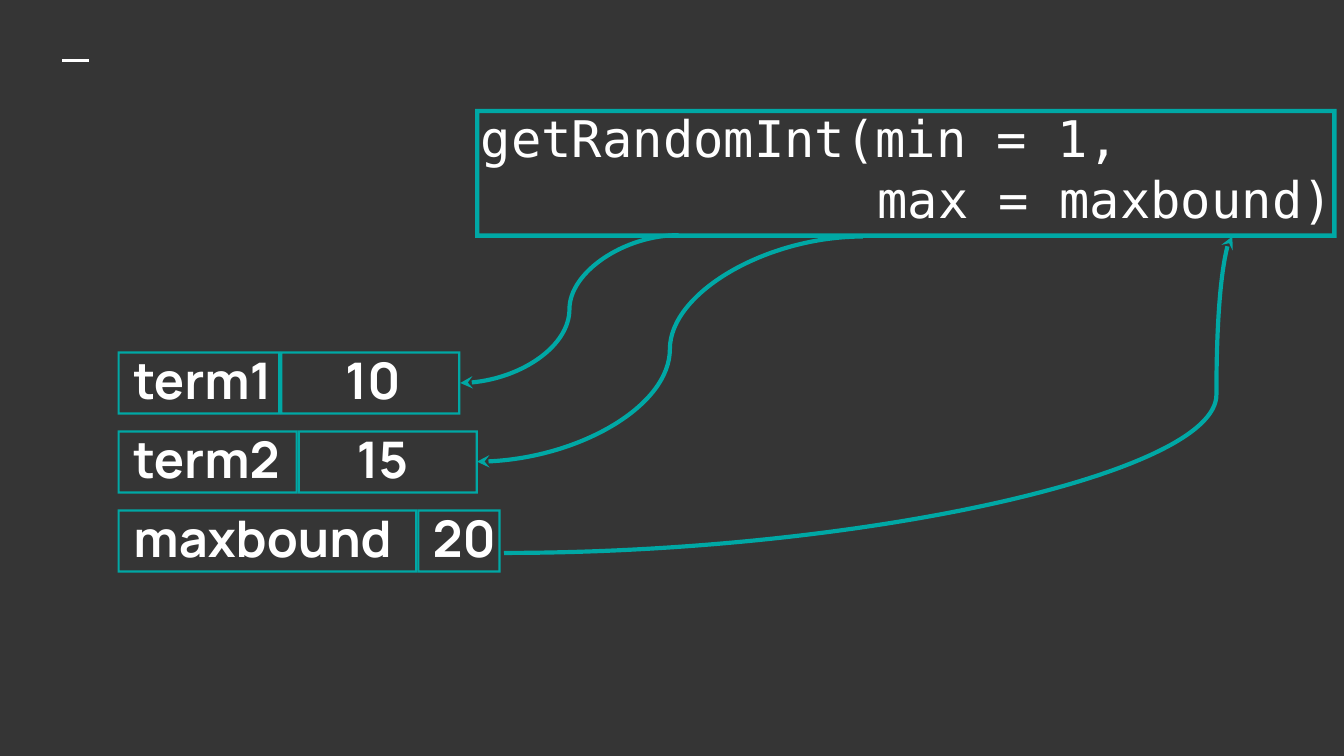
from pptx import Presentation
from pptx.dml.color import RGBColor
from pptx.enum.shapes import MSO_CONNECTOR as LINK, MSO_SHAPE as SHAPE
from pptx.oxml.ns import qn
from pptx.util import Inches, Pt
from lxml.etree import SubElement as sub

DARK = RGBColor(0x35, 0x35, 0x35)
TEAL = RGBColor(0x00, 0xA8, 0xA5)
WHITE = RGBColor(0xFF, 0xFF, 0xFF)

deck = Presentation()
deck.slide_width = Inches(10)
deck.slide_height = deck.slide_width * 9 // 16
unit = deck.slide_width / 100  # square grid, 100 columns wide
slide = deck.slides.add_slide(deck.slide_layouts[6])
slide.background.fill.solid()
slide.background.fill.fore_color.rgb = DARK


def frame(x, y, w, h):
    box = slide.shapes.add_shape(SHAPE.FRAME, *[int(n * unit) for n in (x, y, w, h)])
    box.adjustments[0] = 0.034
    box.shadow.inherit = False
    box.fill.solid()
    box.fill.fore_color.rgb = TEAL
    box.line.fill.background()


def label(x, y, w, lines, font, bold):
    box = slide.shapes.add_textbox(*[int(n * unit) for n in (x, y, w, 4)])
    text = box.text_frame
    text.word_wrap = True
    text.margin_left = text.margin_right = int(unit)
    text.margin_top = text.margin_bottom = int(unit)
    for i, (line, dent) in enumerate(lines):
        para = text.add_paragraph() if i else text.paragraphs[0]
        if dent:
            para._p.get_or_add_pPr().set("marL", str(int(dent * unit)))
        run = para.add_run()
        run.text = line
        run.font.name, run.font.size, run.font.bold = font, Pt(27), bold
        run.font.color.rgb = WHITE


# Variables: name, name cell width, value, value cell width, value text left
left, top, step, high = 8.75, 26.15, 5.88, 4.7
cells = [
    ("term1", 12.1, "10", 13.4, 24.7),
    ("term2", 13.4, "15", 13.4, 25.55),
    ("maxbound", 22.3, "20", 6.2, 31.2),
]
for i, (name, wide, value, room, start) in enumerate(cells):
    y = top + i * step
    frame(left, y, wide, high)
    frame(left + wide, y, room, high)
    label(left + 0.2, y - 1.15, max(wide, 13.2), [(name, 0)], "Manrope", True)
    label(start, y - 1.15, 8.2, [(value, 0)], "Manrope", True)

# Function call
label(34.8, 7, 66.1,
      [("getRandomInt(min = 1,", 0), ("max = maxbound)", 29.5)],
      "DejaVu Sans Mono", False)
frame(35.35, 8.1, 64.1, 9.6)

# Accent dash and curved arrows: kind, start, end, bend, width, colour
lines = [
    (LINK.STRAIGHT, (4.65, 4.5), (6.65, 4.5), None, 1.5, WHITE),
    (LINK.CURVE, (37.5, 41.15), (91.7, 17.6), 0.978, 2.25, TEAL),
    (LINK.CURVE, (50.5, 17.5), (34.25, 28.5), 0.5, 2.25, TEAL),
    (LINK.CURVE, (64.2, 17.6), (35.5, 34.35), 0.5, 2.25, TEAL),
]
for kind, start, end, bend, thick, tone in lines:
    link = slide.shapes.add_connector(kind, *[int(n * unit) for n in start + end])
    link.line.width = Pt(thick)
    link.line.color.rgb = tone
    props = link._element.spPr
    sub(props, qn("a:effectLst"))
    if bend:
        guides = props.find(qn("a:prstGeom")).get_or_add_avLst()
        sub(guides, qn("a:gd"), name="adj1", fmla=f"val {round(bend * 100000)}")
        sub(link.line._get_or_add_ln(), qn("a:tailEnd"), type="stealth")

deck.save("out.pptx")
